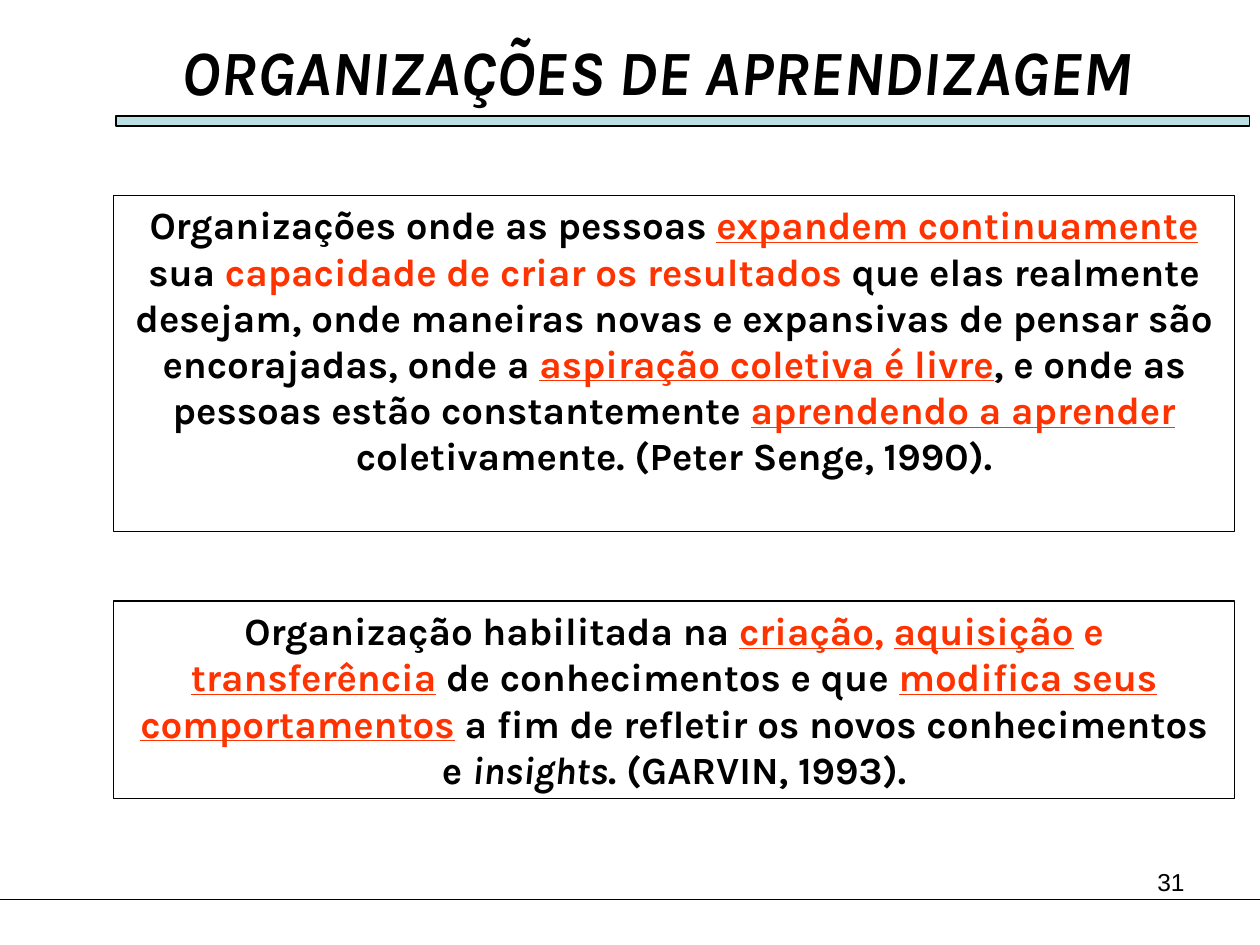
import dataclasses
import typing

import pptx
import pptx.dml.color
import pptx.enum.shapes
import pptx.enum.text
import pptx.util
from lxml import etree

Inches = pptx.util.Inches
Align = pptx.enum.text.PP_ALIGN
HUES = {"ink": "000000", "red": "FF3300", "bar": "BBE0E3"}


class Run(typing.NamedTuple):
    text: str
    hue: str = "ink"
    under: bool = False
    slant: bool = False


@dataclasses.dataclass
class Panel:
    top: float
    height: float
    runs: list[Run]


PANELS = [
    Panel(1.55, 2.67, [
        Run("Organizações onde as pessoas "),
        Run("expandem continuamente", "red", True),
        Run(" sua "),
        Run("capacidade de criar os resultados", "red"),
        Run(" que elas realmente desejam, onde maneiras novas e expansivas "
            "de pensar são encorajadas, onde a "),
        Run("aspiração coletiva é livre", "red", True),
        Run(", e onde as pessoas estão constantemente "),
        Run("aprendendo a aprender", "red", True),
        Run(" coletivamente. (Peter Senge, 1990)."),
    ]),
    Panel(4.77, 1.57, [
        Run("Organização habilitada na "),
        Run("criação", "red", True),
        Run(", ", "red"),
        Run("aquisição", "red", True),
        Run(" e ", "red"),
        Run("transferência", "red", True),
        Run(" de conhecimentos e que "),
        Run("modifica seus comportamentos", "red", True),
        Run(" a fim de refletir os novos conhecimentos e "),
        Run("insights", slant=True),
        Run(". (GARVIN, 1993)."),
    ]),
]


def paint(hue: str) -> pptx.dml.color.RGBColor:
    """Return the named colour."""
    return pptx.dml.color.RGBColor.from_string(HUES[hue])


def write(shape, runs: list[Run], *, size: float, face: str = "Karla",
          bold: bool = True, align=Align.CENTER) -> None:
    """Fill a shape with one paragraph of formatted runs."""
    frame = shape.text_frame
    frame.word_wrap = True
    frame.vertical_anchor = pptx.enum.text.MSO_ANCHOR.TOP
    para = frame.paragraphs[0]
    para.alignment = align
    for item in runs:
        run = para.add_run()
        run.text = item.text
        font = run.font
        font.name, font.size = face, pptx.util.Pt(size)
        font.bold, font.italic, font.underline = bold, item.slant, item.under
        font.color.rgb = paint(item.hue)


def add_text(slide, box: tuple, runs: list[Run], **form) -> None:
    """Add a text box holding the given runs."""
    write(slide.shapes.add_textbox(*map(Inches, box)), runs, **form)


def add_rect(slide, box: tuple, hue: str | None = None):
    """Add a thinly outlined rectangle, filled if a colour is named."""
    kind = pptx.enum.shapes.MSO_SHAPE.RECTANGLE
    shape = slide.shapes.add_shape(kind, *map(Inches, box))
    shape.shadow.inherit = False
    if hue:
        shape.fill.solid()
        shape.fill.fore_color.rgb = paint(hue)
    else:
        shape.fill.background()
    trace(shape)
    return shape


def trace(shape) -> None:
    """Give a shape or connector the thin dark line."""
    shape.line.color.rgb = paint("ink")
    shape.line.width = pptx.util.Pt(0.75)


def add_rule(slide, top: float, width: float) -> None:
    """Add a level line from the left edge."""
    kind = pptx.enum.shapes.MSO_CONNECTOR.STRAIGHT
    rule = slide.shapes.add_connector(
        kind, Inches(0), Inches(top), Inches(width), Inches(top))
    trace(rule)
    props = rule._element.spPr
    etree.SubElement(props, pptx.oxml.ns.qn("a:effectLst"))


def main() -> None:
    """Build the slide and save it."""
    deck = pptx.Presentation()
    deck.slide_width, deck.slide_height = Inches(10), Inches(7.5)
    slide = deck.slides.add_slide(deck.slide_layouts[6])
    add_rect(slide, (0.92, 0.92, 9, 0.08), "bar")
    add_rule(slide, 7.14, 10)
    add_text(slide, (0.43, 0.21, 9.57, 0.7),
             [Run("ORGANIZAÇÕES DE APRENDIZAGEM", slant=True)], size=36)
    for panel in PANELS:
        shape = add_rect(slide, (0.9, panel.top, 8.9, panel.height))
        write(shape, panel.runs, size=22)
    add_text(slide, (7.17, 6.83, 2.33, 0.52), [Run("31")],
             size=14, face="Arial", bold=False, align=Align.RIGHT)
    deck.save("out.pptx")


if __name__ == "__main__":
    main()
